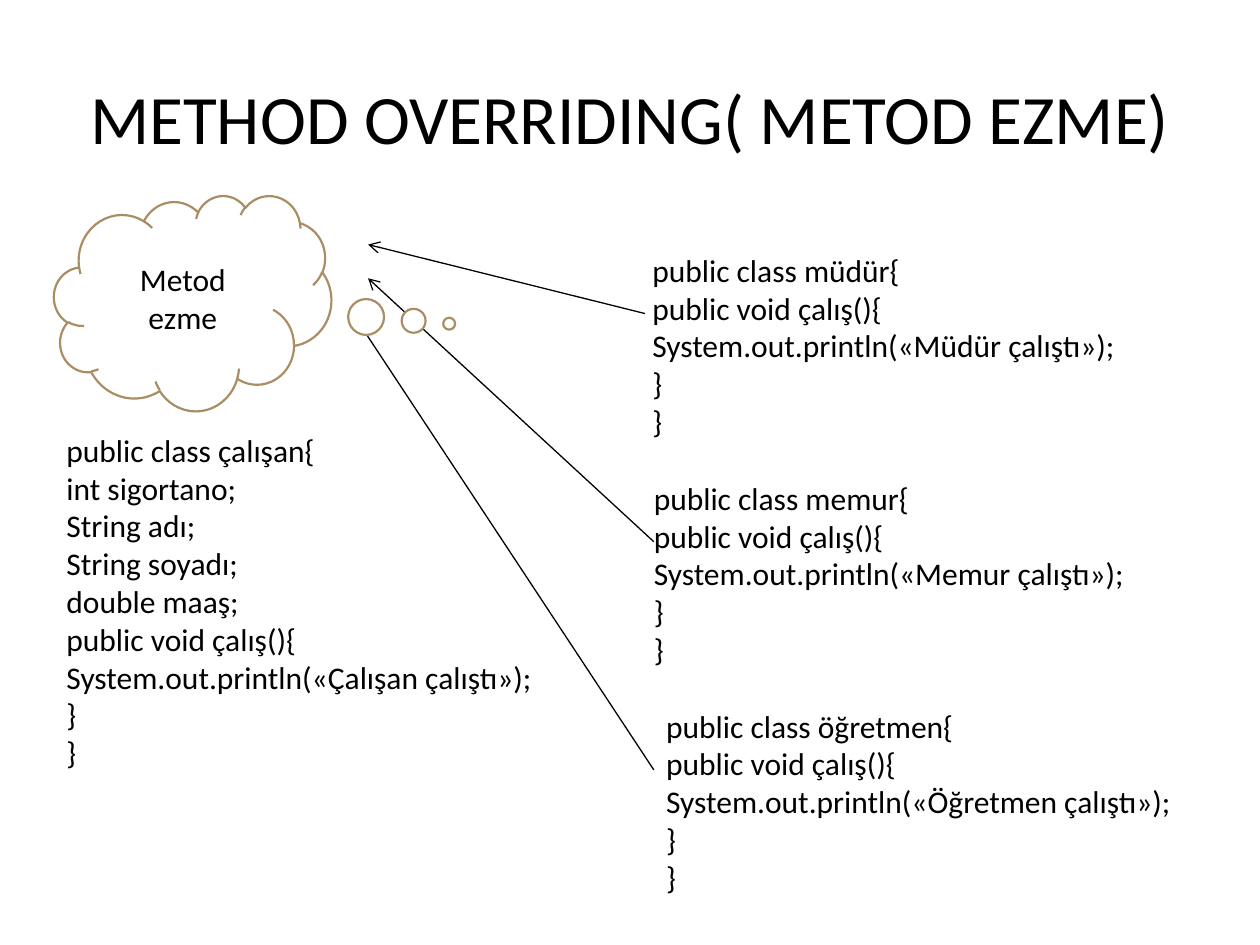
from lxml import etree
from pptx import Presentation
from pptx.dml.color import RGBColor
from pptx.enum.shapes import MSO_CONNECTOR, MSO_SHAPE
from pptx.enum.text import MSO_ANCHOR, MSO_AUTO_SIZE, PP_ALIGN
from pptx.oxml.ns import qn
from pptx.util import Cm, Pt

COLORS = {"text": "000000", "fill": "FFFFFF", "outline": "A98D63"}


def add_text(para, text, size):
    span = para.add_run()
    span.text = text
    span.font.name = "Calibri"
    span.font.size = Pt(size)
    span.font.color.rgb = RGBColor.from_string(COLORS["text"])


deck = Presentation()
deck.slide_width, deck.slide_height = Cm(25.4), Cm(19.05)
page = deck.slides.add_slide(deck.slide_layouts[5])

title = page.shapes.title
title.left, title.top, title.width, title.height = Cm(1.27), Cm(0.76), Cm(22.86), Cm(3.18)
title.text_frame.vertical_anchor = MSO_ANCHOR.MIDDLE
title_para = title.text_frame.paragraphs[0]
title_para.alignment = PP_ALIGN.CENTER
add_text(title_para, "METHOD OVERRIDING( METOD EZME)", 39.6)

employee_fields = ["int sigortano;", "String adı;", "String soyadı;", "double maaş;"]
classes = [
    ("çalışan", "Çalışan", employee_fields, 1.09, 8.56, 10.01, 7.19),
    ("müdür", "Müdür", [], 12.9, 4.93, 9.93, 4.11),
    ("memur", "Memur", [], 12.93, 9.53, 10.11, 4.11),
    ("öğretmen", "Öğretmen", [], 13.18, 14.12, 10.8, 4.11),
]
for class_name, label, fields, left, top, width, height in classes:
    box = page.shapes.add_textbox(Cm(left), Cm(top), Cm(width), Cm(height))
    frame = box.text_frame
    frame.word_wrap = False
    frame.auto_size = MSO_AUTO_SIZE.SHAPE_TO_FIT_TEXT
    lines = [
        f"public class {class_name}{{",
        *fields,
        "public void çalış(){",
        f"System.out.println(«{label} çalıştı»);",
        "}",
        "}",
    ]
    for index, line in enumerate(lines):
        para = frame.add_paragraph() if index else frame.paragraphs[0]
        add_text(para, line, 18)

arrows = [
    (13, 6.32, 7.42, 4.93),
    (13.18, 10.92, 7.42, 5.61),
    (13.18, 15.52, 7.11, 6.32),
]
for ends in arrows:
    arrow = page.shapes.add_connector(MSO_CONNECTOR.STRAIGHT, *map(Cm, ends))
    arrow.line.color.rgb = RGBColor.from_string(COLORS["text"])
    arrow.line.width = Pt(0.75)
    etree.SubElement(arrow.line._get_or_add_ln(), qn("a:tailEnd"), type="arrow")
    etree.SubElement(arrow._element.spPr, qn("a:effectLst"))

cloud = page.shapes.add_shape(MSO_SHAPE.CLOUD_CALLOUT, Cm(1.09), Cm(3.94), Cm(5.59), Cm(4.34))
cloud.adjustments[0], cloud.adjustments[1] = 0.925, 0.096
cloud.shadow.inherit = False
cloud.fill.solid()
cloud.fill.fore_color.rgb = RGBColor.from_string(COLORS["fill"])
cloud.line.color.rgb = RGBColor.from_string(COLORS["outline"])
cloud.line.width = Pt(1.25)
cloud.text_frame.word_wrap = True
cloud.text_frame.vertical_anchor = MSO_ANCHOR.MIDDLE
cloud_para = cloud.text_frame.paragraphs[0]
cloud_para.alignment = PP_ALIGN.CENTER
add_text(cloud_para, "Metod ezme", 18)

deck.save("out.pptx")
